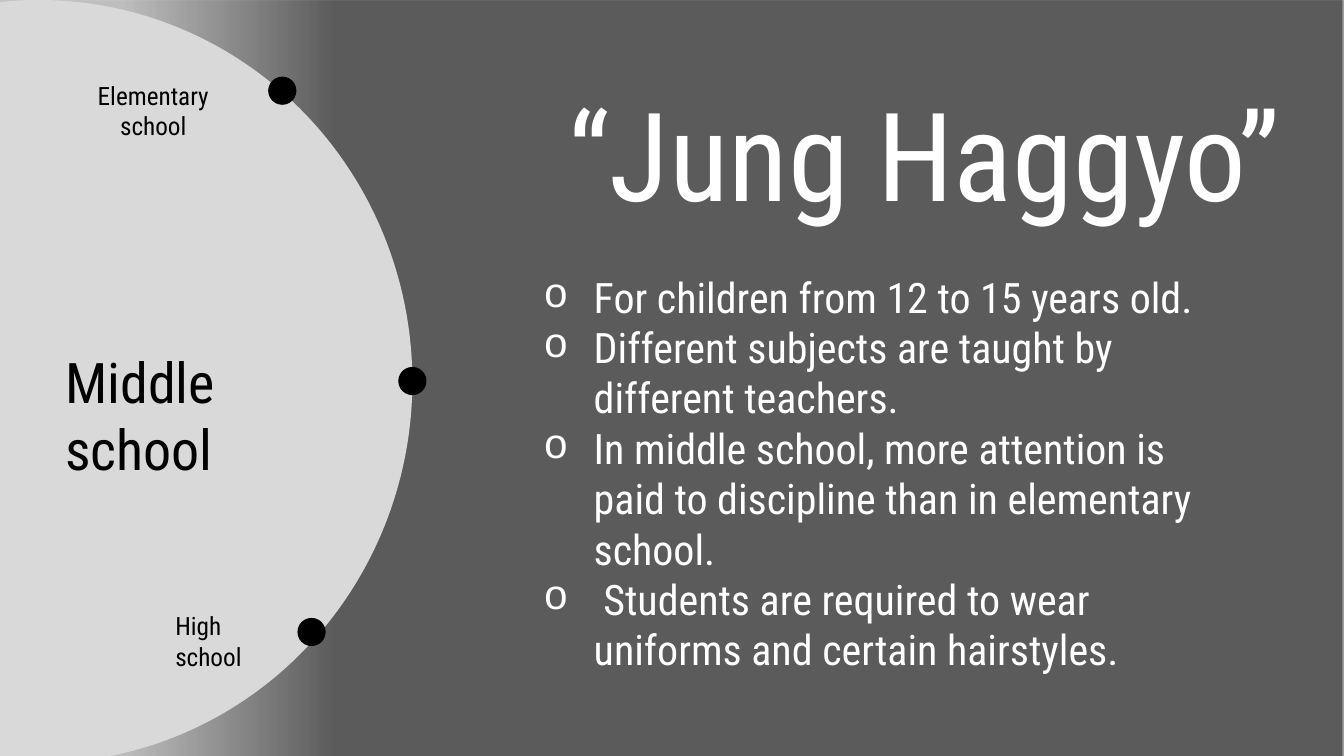
"""Build the middle school slide with its half-circle stage dial."""
from typing import NamedTuple, Optional

from lxml.etree import SubElement
from pptx import Presentation
from pptx.dml.color import RGBColor
from pptx.enum.shapes import MSO_SHAPE as Kind
from pptx.enum.text import MSO_ANCHOR as Anchor, MSO_AUTO_SIZE as Auto, PP_ALIGN as Align
from pptx.oxml.ns import qn
from pptx.shapes.autoshape import Shape
from pptx.slide import Slide
from pptx.text.text import _Paragraph as Para
from pptx.util import Inches, Pt

FONT = "Roboto Condensed"
BLACK = RGBColor(0x00, 0x00, 0x00)
WHITE = RGBColor(0xFF, 0xFF, 0xFF)
GREY = RGBColor(0xD9, 0xD9, 0xD9)
DOT = 0.28
INDENT = 0.5


class Box(NamedTuple):
    left: float
    top: float
    width: float
    height: float


class Label(NamedTuple):
    box: Box
    lines: list[str]
    size: int
    color: RGBColor = BLACK
    align: Align = Align.LEFT
    fill: Optional[RGBColor] = None
    bullet: bool = False


DOTS = [(2.66, 0.76), (3.95, 3.64), (2.95, 6.13)]
FACTS = [
    "For children from 12 to 15 years old.",
    "Different subjects are taught by different teachers.",
    "In middle school, more attention is paid to discipline than in elementary school.",
    " Students are required to wear uniforms and certain hairstyles.",
]
LABELS = [
    Label(Box(0.56, 0.75, 1.92, 0.4), ["Elementary school"], 18, align=Align.CENTER, fill=GREY),
    Label(Box(0.55, 3.4, 2.85, 0.77), ["Middle school"], 40),
    Label(Box(1.64, 6.01, 1.16, 0.4), ["High school"], 18),
    Label(Box(5.54, 0.73, 9.08, 1.58), ["“Jung Haggyo”"], 88, WHITE),
    Label(Box(5.29, 2.64, 7.02, 3.64), FACTS, 30, WHITE, bullet=True),
]


def add_form(slide: Slide, kind: Kind, box: Box) -> Shape:
    """Add a preset shape without line or shadow."""
    form = slide.shapes.add_shape(kind, *map(Inches, box))
    form.shadow.inherit = False
    form.line.fill.background()
    return form


def add_disc(slide: Slide, box: Box, color: RGBColor) -> None:
    """Add a plain filled ellipse."""
    disc = add_form(slide, Kind.OVAL, box)
    disc.fill.solid()
    disc.fill.fore_color.rgb = color


def add_shade(slide: Slide, box: Box) -> None:
    """Add the dark backdrop that fades out to the left."""
    shade = add_form(slide, Kind.RECTANGLE, box)
    shade.fill.gradient()
    shade.fill.gradient_angle = 180
    for stop, place in zip(shade.fill.gradient_stops, (0.75, 0.91)):
        stop.position = place
        stop.color.rgb = BLACK
    for tint, alpha in zip(shade._element.iter(qn("a:srgbClr")), (64, 25)):
        SubElement(tint, qn("a:alpha"), val=str(alpha * 1000))


def add_bullet(para: Para) -> None:
    """Give a paragraph a hanging round bullet."""
    props = para._p.get_or_add_pPr()
    props.set("marL", str(Inches(INDENT)))
    props.set("indent", str(-Inches(INDENT)))
    SubElement(props, qn("a:buFont"), typeface="Courier New")
    SubElement(props, qn("a:buChar"), char="o")


def add_label(slide: Slide, label: Label) -> None:
    """Add a text box with one paragraph per line."""
    area = slide.shapes.add_textbox(*map(Inches, label.box))
    if label.fill is not None:
        area.fill.solid()
        area.fill.fore_color.rgb = label.fill
    frame = area.text_frame
    frame.word_wrap = True
    frame.auto_size = Auto.SHAPE_TO_FIT_TEXT
    frame.vertical_anchor = Anchor.TOP
    frame.text = "\n".join(label.lines)
    for para in frame.paragraphs:
        para.alignment = label.align
        if label.bullet:
            add_bullet(para)
        para.font.name = FONT
        para.font.size = Pt(label.size)
        para.font.color.rgb = label.color


def main() -> None:
    """Draw the slide and save it."""
    deck = Presentation()
    deck.slide_width, deck.slide_height = Inches(13.33), Inches(7.5)
    slide = deck.slides.add_slide(deck.slide_layouts[6])
    add_shade(slide, Box(0, 0, 13.33, 7.5))
    add_disc(slide, Box(-3.32, 0, 7.41, 7.57), GREY)
    for left, top in DOTS:
        add_disc(slide, Box(left, top, DOT, DOT), BLACK)
    for label in LABELS:
        add_label(slide, label)
    deck.save("out.pptx")


if __name__ == "__main__":
    main()
